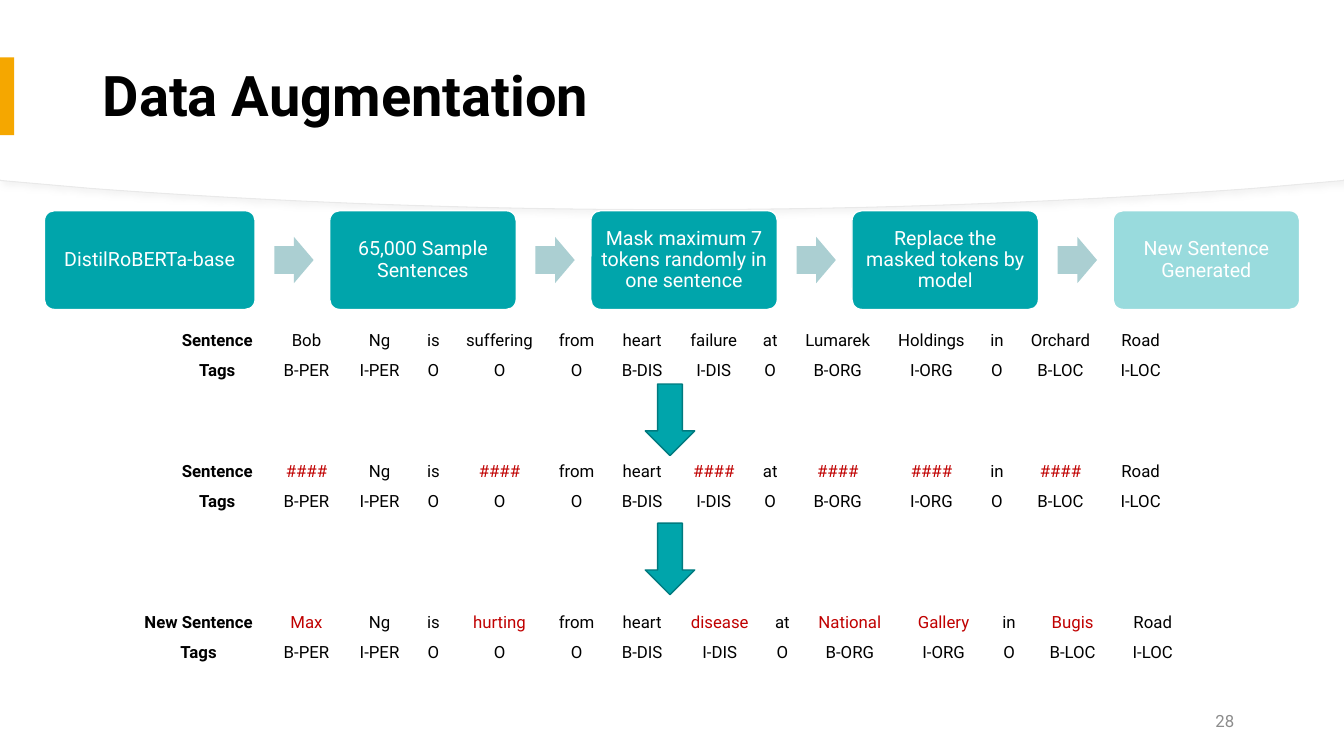
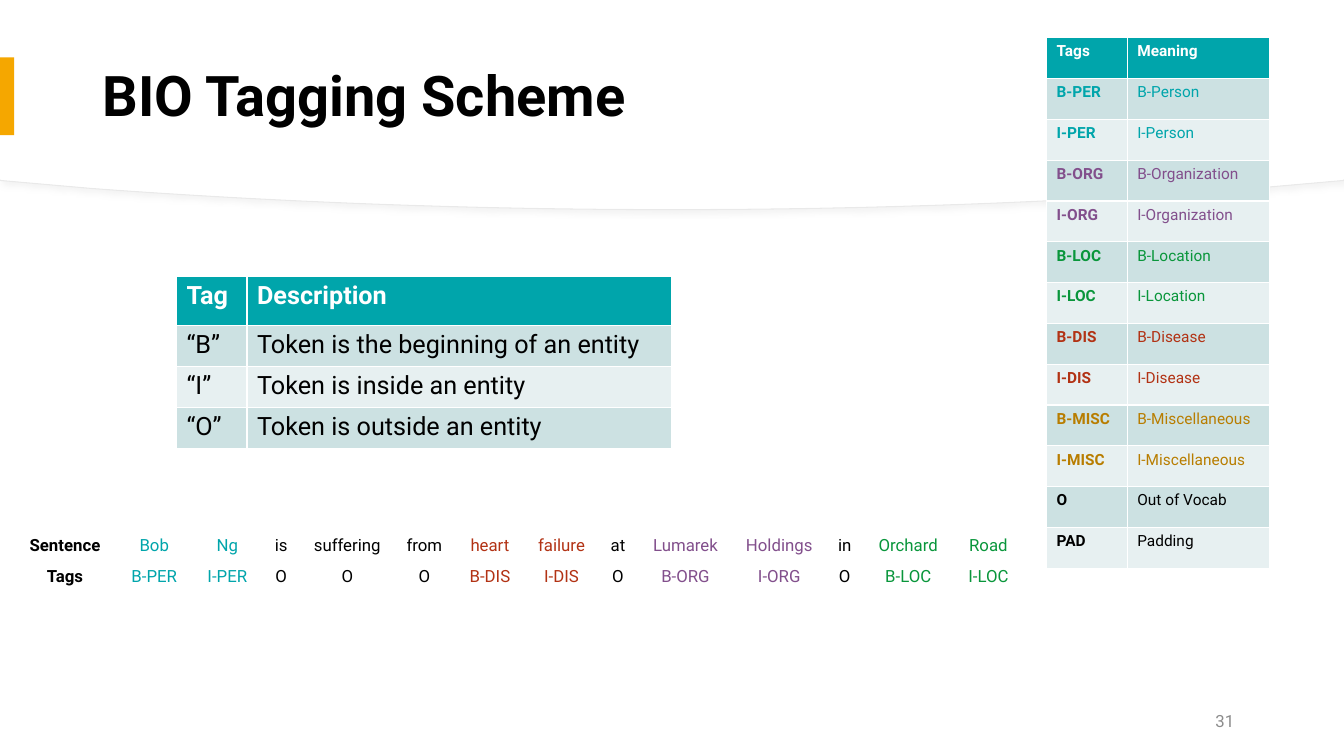
from dataclasses import dataclass
from typing import NamedTuple

from lxml import etree
from pptx import Presentation
from pptx import util as u
from pptx.dml import color as dml
from pptx.enum import shapes, text
from pptx.oxml import ns

PX = 9144  # EMU in one px, 100 px to the inch
WIDTH, HEIGHT = 1333, 750


@dataclass(frozen=True)
class Theme:
    font: str = "Roboto"
    ink: str = "000000"
    paper: str = "FFFFFF"
    teal: str = "00A5AB"
    teal_edge: str = "007A7F"
    teal_pale: str = "ABCFD2"
    band_dark: str = "CCE1E2"
    band_light: str = "E7F0F1"
    accent: str = "F5A700"
    changed: str = "C00000"
    curve: str = "E9E9E9"
    shadow: str = "D9D9D9"
    page: str = "8C8C8C"
    title_size: int = 40
    table_size: int = 18
    step_size: int = 14
    small_size: int = 12
    legend_size: int = 11


THEME = Theme()
ENTITIES = {
    "PER": ("Person", THEME.teal),
    "ORG": ("Organization", "824F8C"),
    "LOC": ("Location", "09963B"),
    "DIS": ("Disease", "B23214"),
    "MISC": ("Miscellaneous", "B87D00"),
}

SENTENCE = "Bob Ng is suffering from heart failure at Lumarek Holdings in Orchard Road".split()
MASKED = "#### Ng is #### from heart #### at #### #### in #### Road".split()
GENERATED = "Max Ng is hurting from heart disease at National Gallery in Bugis Road".split()
TAGS = "B-PER I-PER O O O B-DIS I-DIS O B-ORG I-ORG O B-LOC I-LOC".split()
TOKEN_WIDTHS = [76, 69, 38, 93, 60, 70, 72, 40, 94, 92, 38, 88, 71]
LABEL_WIDTH = 101
STEPS = ["DistilRoBERTa-base", "65,000 Sample Sentences",
         "Mask maximum 7 tokens randomly in one sentence",
         "Replace the masked tokens by model", "New Sentence Generated"]


class Cell(NamedTuple):
    words: str
    colour: str = THEME.ink
    bold: bool = False


def px(length):
    return u.Emu(round(length * PX))


def rgb(colour):
    return dml.RGBColor.from_string(colour)


def assign(target, values):
    for name, value in values.items():
        setattr(target, name, value)


def tag_colour(tag):
    return ENTITIES.get(tag.split("-")[-1], ("", THEME.ink))[1]


def curve_points(depth):
    """Outline of the header panel, whose lower edge sags to the given depth."""
    right = [(1242, depth - 21), (1065, depth - 8), (871, depth), (WIDTH / 2, depth)]
    steps = 24
    half = [(WIDTH, depth - 29)]
    for i in range(steps + 1):
        t = i / steps
        weights = ((1 - t) ** 3, 3 * t * (1 - t) ** 2, 3 * t * t * (1 - t), t ** 3)
        half.append(tuple(sum(w * p[axis] for w, p in zip(weights, right)) for axis in (0, 1)))
    mirrored = [(WIDTH - x, y) for x, y in reversed(half[:-1])]
    return [(WIDTH, 0)] + half + mirrored


class Deck:
    def __init__(self, theme):
        self.theme = theme
        self.prs = Presentation()
        assign(self.prs, {"slide_width": px(WIDTH), "slide_height": px(HEIGHT)})
        self.slide = None

    def start(self, title, page):
        """Add a slide with its header panel, title, accent bar and page number."""
        t = self.theme
        self.slide = self.prs.slides.add_slide(self.prs.slide_layouts[6])
        self.header(208, t.curve)
        self.header(207)
        self.label((92, 28, 1150, 139), title, t.title_size, t.ink, bold=True, spacing=0.9)
        self.shape("RECTANGLE", (0, 57, 14, 77), t.accent)
        self.label((934, 695, 300, 40), str(page), t.small_size, t.page, align="RIGHT")

    def header(self, depth, edge=None):
        builder = self.slide.shapes.build_freeform(0, 0)
        builder.add_line_segments([(px(x), px(y)) for x, y in curve_points(depth)])
        panel = builder.convert_to_shape()
        self.paint(panel, self.theme.paper, edge, 0.75)
        if edge:
            self.cast_shadow(panel)

    def cast_shadow(self, shape):
        effects = shape._element.spPr.find(ns.qn("a:effectLst"))
        shadow = etree.SubElement(effects, ns.qn("a:outerShdw"), blurRad=str(u.Pt(4)),
                                  dist=str(u.Pt(3)), dir="2700000", algn="tl", rotWithShape="0")
        colour = etree.SubElement(shadow, ns.qn("a:srgbClr"), val=self.theme.shadow)
        etree.SubElement(colour, ns.qn("a:alpha"), val="30000")

    def paint(self, shape, fill, edge=None, edge_width=1):
        shape.shadow.inherit = False
        shape.fill.solid()
        shape.fill.fore_color.rgb = rgb(fill)
        if edge:
            shape.line.color.rgb = rgb(edge)
            shape.line.width = u.Pt(edge_width)
        else:
            shape.line.fill.background()

    def shape(self, kind, box, fill, edge=None, adjust=()):
        shape = self.slide.shapes.add_shape(getattr(shapes.MSO_SHAPE, kind), *map(px, box))
        for i, value in enumerate(adjust):
            shape.adjustments[i] = value
        self.paint(shape, fill, edge)
        return shape

    def set_words(self, frame, words, size, colour, bold=False, align="LEFT", spacing=1.0):
        paragraph = frame.paragraphs[0]
        assign(paragraph, {"alignment": getattr(text.PP_ALIGN, align), "line_spacing": spacing})
        run = paragraph.add_run()
        run.text = words
        assign(run.font, {"name": self.theme.font, "size": u.Pt(size), "bold": bold})
        run.font.color.rgb = rgb(colour)

    def label(self, box, words, size, colour, **style):
        frame = self.slide.shapes.add_textbox(*map(px, box)).text_frame
        assign(frame, {"word_wrap": True, "vertical_anchor": text.MSO_ANCHOR.MIDDLE})
        self.set_words(frame, words, size, colour, **style)

    def step(self, box, words, faded):
        t = self.theme
        card = self.shape("ROUNDED_RECTANGLE", box, t.teal, t.paper, [0.1])
        if faded:
            fill = card._element.spPr.find(ns.qn("a:solidFill"))
            etree.SubElement(fill[0], ns.qn("a:alpha"), val="40000")
        sides = ("left", "top", "right", "bottom")
        assign(card.text_frame, {f"margin_{side}": px(6) for side in sides})
        assign(card.text_frame, {"word_wrap": True, "vertical_anchor": text.MSO_ANCHOR.MIDDLE})
        self.set_words(card.text_frame, words, t.step_size, t.paper, align="CENTER", spacing=0.9)

    def flow(self, steps):
        """Lay the steps out in a row, with an arrow in each gap."""
        left, top, height, gap = 44, 209, 98, 74
        for i, words in enumerate(steps):
            width = 185 if i else 209
            last = i == len(steps) - 1
            self.step((left, top, width, height), words, faded=last)
            left += width + gap
            if not last:
                self.shape("RIGHT_ARROW", (left - 55, top + 26, 39, 46),
                           self.theme.teal_pale, adjust=[0.6, 0.5])

    def down_arrow(self, top):
        self.shape("DOWN_ARROW", (640, top, 49, 71), self.theme.teal, self.theme.teal_edge)

    def table(self, at, widths, height, first_height, rows, size, banded=True, align="LEFT"):
        """Draw rows of cells; the rows below the first share the remaining height."""
        t = self.theme
        table = self.slide.shapes.add_table(
            len(rows), len(widths), *map(px, (*at, sum(widths), height))).table
        assign(table, {"first_row": banded, "horz_banding": banded})
        for column, width in zip(table.columns, widths):
            column.width = px(width)
        rest = (height - first_height) / (len(rows) - 1)
        for r, cells in enumerate(rows):
            table.rows[r].height = px(rest if r else first_height)
            fill = (t.band_dark if r % 2 else t.band_light) if r else t.teal
            for c, content in enumerate(cells):
                cell = table.cell(r, c)
                if banded:
                    cell.fill.solid()
                    cell.fill.fore_color.rgb = rgb(fill)
                else:
                    cell.fill.background()
                self.set_words(cell.text_frame, content.words, size, content.colour,
                               content.bold, align)

    def tagged(self, at, tokens, token_colours, tag_colours,
               heading="Sentence", label_width=LABEL_WIDTH, widths=TOKEN_WIDTHS):
        """Show a sentence with the tag of each token below it."""
        rows = [[Cell(heading, bold=True), *map(Cell, tokens, token_colours)],
                [Cell("Tags", bold=True), *map(Cell, TAGS, tag_colours)]]
        self.table(at, [label_width, *widths], 71, 30, rows, self.theme.small_size,
                   banded=False, align="CENTER")

    def heading_row(self, *names):
        return [Cell(name, self.theme.paper, True) for name in names]


def augmentation(deck):
    deck.start("Data Augmentation", 28)
    deck.flow(STEPS)
    plain = [THEME.ink] * len(TAGS)

    def highlights(tokens):
        return [THEME.ink if new == old else THEME.changed
                for new, old in zip(tokens, SENTENCE)]

    deck.tagged((165, 323), SENTENCE, plain, plain)
    deck.down_arrow(381)
    deck.tagged((165, 453), MASKED, highlights(MASKED), plain)
    deck.down_arrow(519)
    widths = [84 if word == "disease" else width
              for word, width in zip(GENERATED, TOKEN_WIDTHS)]
    deck.tagged((128, 603), GENERATED, highlights(GENERATED), plain,
                "New Sentence", 138, widths)


def tagging_scheme(deck):
    deck.start("BIO Tagging Scheme", 31)
    positions = {"B": "the beginning of", "I": "inside", "O": "outside"}
    scheme = [deck.heading_row("Tag", "Description")]
    scheme += [[Cell(f"“{tag}”"), Cell(f"Token is {place} an entity")]
               for tag, place in positions.items()]
    deck.table((175, 274), [70, 421], 171, 49, scheme, THEME.table_size)

    meanings = {f"{prefix}-{kind}": f"{prefix}-{name}"
                for kind, (name, _) in ENTITIES.items() for prefix in "BI"}
    meanings.update({"O": "Out of Vocab", "PAD": "Padding"})
    legend = [deck.heading_row("Tags", "Meaning")]
    legend += [[Cell(tag, tag_colour(tag), True), Cell(meaning, tag_colour(tag))]
               for tag, meaning in meanings.items()]
    deck.table((1038, 37), [80, 141], 527, 41, legend, THEME.legend_size)

    colours = [tag_colour(tag) for tag in TAGS]
    deck.tagged((14, 527), SENTENCE, colours, colours)


def main():
    deck = Deck(THEME)
    augmentation(deck)
    tagging_scheme(deck)
    deck.prs.save("out.pptx")


if __name__ == "__main__":
    main()
